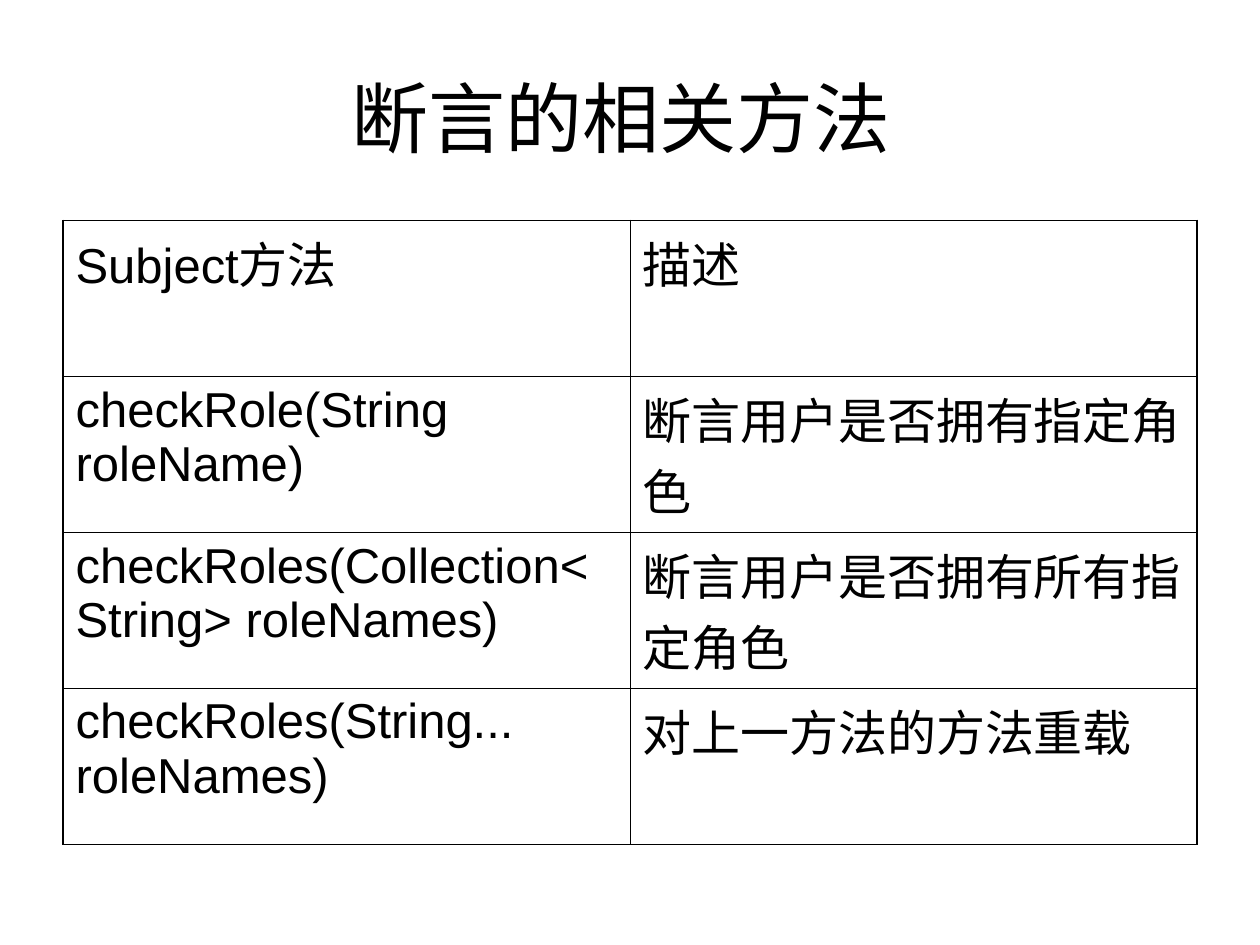
"""Build a slide with a table of role assertion methods."""
from lxml import etree
from pptx import Presentation
from pptx.dml.color import RGBColor
from pptx.enum.text import MSO_ANCHOR, PP_ALIGN
from pptx.oxml.ns import qn
from pptx.util import Pt

CENTER, LEFT = PP_ALIGN.CENTER, PP_ALIGN.LEFT
MIDDLE = MSO_ANCHOR.MIDDLE

TITLE = "断言的相关方法 "
ROWS = [
    ("Subject方法", "描述"),
    ("checkRole(String roleName)", "断言用户是否拥有指定角色"),
    ("checkRoles(Collection<String> roleNames)", "断言用户是否拥有所有指定角色"),
    ("checkRoles(String... roleNames)", "对上一方法的方法重载"),
]
COLORS = {"ink": "000000"}
FONT = "Arial"
MARGIN, CONTENT_WIDTH = 36, 648
TABLE_TOP, ROW_HEIGHT = 126, 89.14
OUTER_LINE, INNER_LINE = Pt(1.08), Pt(0.45)


def format_text(frame, size, align):
    for para in frame.paragraphs:
        para.alignment = align
        for span in para.runs:
            span.font.name = FONT
            span.font.size = Pt(size)
            span.font.bold = False
            span.font.color.rgb = RGBColor.from_string(COLORS["ink"])


def set_borders(cell, outer_edges):
    properties = cell._tc.get_or_add_tcPr()
    for position, (side, outer) in enumerate(zip("LRTB", outer_edges)):
        line = etree.Element(qn(f"a:ln{side}"), w=str(OUTER_LINE if outer else INNER_LINE))
        fill = etree.SubElement(line, qn("a:solidFill"))
        etree.SubElement(fill, qn("a:srgbClr"), val=COLORS["ink"])
        properties.insert(position, line)


def add_title(page):
    box = page.shapes.title
    box.left, box.top, box.width, box.height = Pt(MARGIN), Pt(21.6), Pt(CONTENT_WIDTH), Pt(90)
    box.text_frame.text = TITLE
    box.text_frame.vertical_anchor = MIDDLE
    format_text(box.text_frame, 44, CENTER)


def add_methods(page):
    row_count, column_count = len(ROWS), len(ROWS[0])
    table = page.shapes.add_table(
        row_count, column_count, Pt(MARGIN), Pt(TABLE_TOP),
        Pt(CONTENT_WIDTH), Pt(ROW_HEIGHT * row_count),
    ).table
    table.first_row = table.horz_banding = False
    for r, texts in enumerate(ROWS):
        table.rows[r].height = Pt(ROW_HEIGHT)
        for c, text in enumerate(texts):
            cell = table.cell(r, c)
            cell.text_frame.text = text
            format_text(cell.text_frame, 28, LEFT)
            cell.fill.background()
            set_borders(cell, (c == 0, c == column_count - 1, r == 0, r == row_count - 1))


def main():
    deck = Presentation()
    deck.slide_width, deck.slide_height = Pt(720), Pt(540)
    page = deck.slides.add_slide(deck.slide_layouts[5])
    add_title(page)
    add_methods(page)
    deck.save("out.pptx")


if __name__ == "__main__":
    main()
